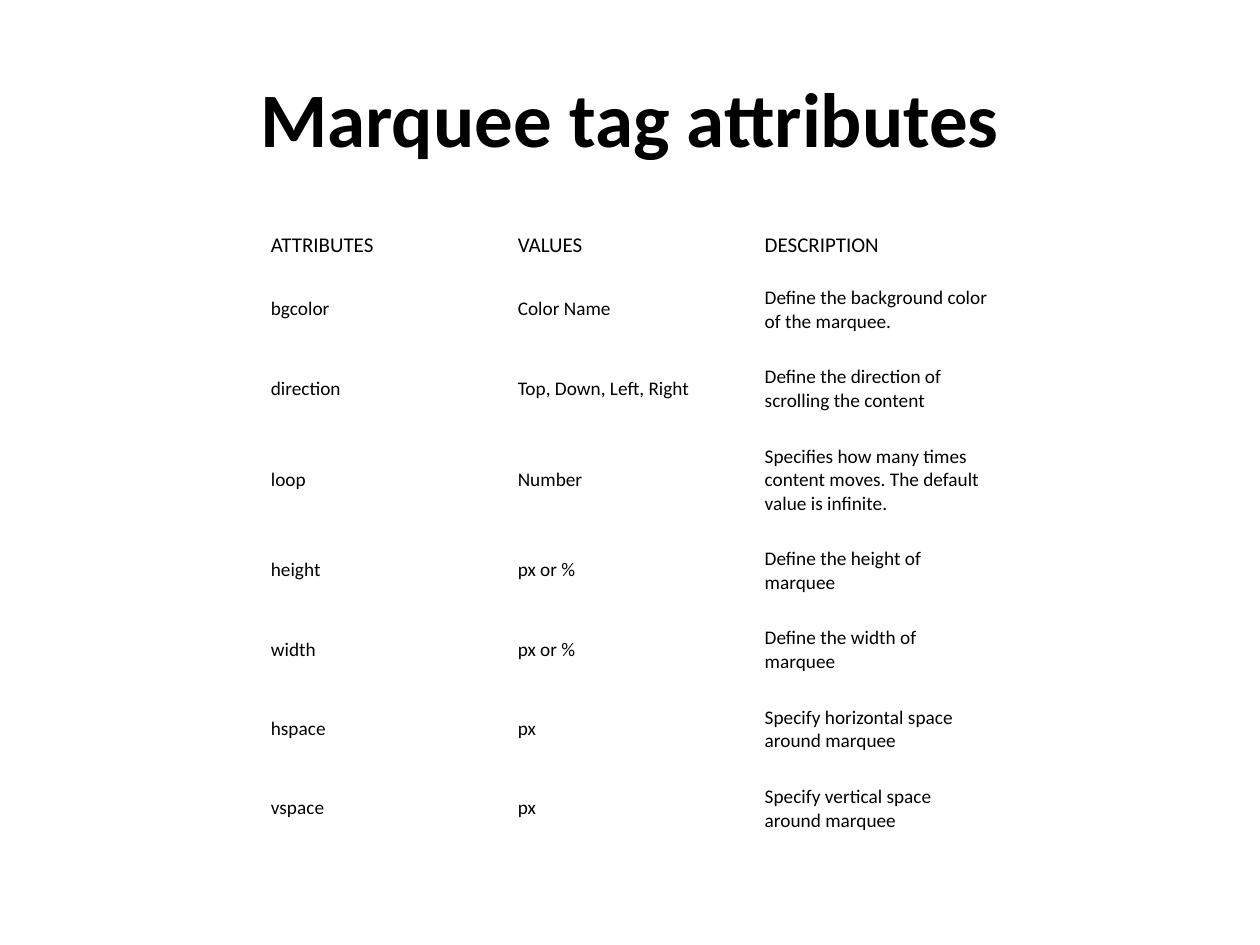
"""Builds a slide with a title and a table of marquee tag attributes."""
from pptx import Presentation
from pptx.dml.color import RGBColor
from pptx.enum.text import MSO_ANCHOR, PP_ALIGN
from pptx.util import Inches, Pt

COLORS = {"text": "000000", "paper": "FFFFFF"}
WIDTH, HEIGHT = Inches(10), Inches(7.5)
TITLE_FONT = {"name": "Calibri", "size": Pt(44), "bold": True}
HEAD_FONT = {"name": "Calibri", "size": Pt(12), "bold": False}
BODY_FONT = {"name": "Calibri", "size": Pt(11), "bold": False}
COL_WIDTH, HEAD_HEIGHT, LINE_HEIGHT, PAD = 1.96, 0.39, 0.18, 0.27
ROWS = [
    ("ATTRIBUTES", "VALUES", "DESCRIPTION", 1),
    ("bgcolor", "Color Name", "Define the background color of the marquee.", 2),
    ("direction", "Top, Down, Left, Right",
     "Define the direction of scrolling the content", 2),
    ("loop", "Number",
     "Specifies how many times content moves. The default value is infinite.", 3),
    ("height", "px or %", "Define the height of marquee", 2),
    ("width", "px or %", "Define the width of marquee", 2),
    ("hspace", "px", "Specify horizontal space around marquee", 2),
    ("vspace", "px", "Specify vertical space around marquee", 2),
]


def apply(obj, values):
    """Set each named attribute on an object."""
    for name, value in values.items():
        setattr(obj, name, value)


def write(tf, text, font, align):
    """Write one formatted paragraph into a text frame."""
    p = tf.paragraphs[0]
    p.alignment = align
    r = p.add_run()
    r.text = text
    apply(r.font, font)
    r.font.color.rgb = RGBColor.from_string(COLORS["text"])


def add_title(s, text):
    """Add the centred slide title."""
    sp = s.shapes.add_textbox(int(WIDTH * 0.05), int(HEIGHT * 0.04),
                              int(WIDTH * 0.9), Inches(1.25))
    tf = sp.text_frame
    apply(tf, {"word_wrap": True, "vertical_anchor": MSO_ANCHOR.MIDDLE})
    write(tf, text, TITLE_FONT, PP_ALIGN.CENTER)


def fill_cell(cell, text, font, margin):
    """Format a table cell and write its text."""
    apply(cell, {
        "margin_left": Inches(0.09), "margin_right": Inches(0.09),
        "margin_top": Inches(margin), "margin_bottom": Inches(margin),
        "vertical_anchor": MSO_ANCHOR.MIDDLE,
    })
    cell.fill.solid()
    cell.fill.fore_color.rgb = RGBColor.from_string(COLORS["paper"])
    write(cell.text_frame, text, font, PP_ALIGN.LEFT)


def add_attribute_table(s, rows):
    """Add the table, centred across the slide, with heights by line count."""
    heights = [HEAD_HEIGHT] + [PAD + LINE_HEIGHT * row[-1] for row in rows[1:]]
    width = Inches(3 * COL_WIDTH)
    table = s.shapes.add_table(len(rows), 3, (WIDTH - width) // 2, Inches(1.75),
                               width, Inches(sum(heights))).table
    apply(table, {"first_row": False, "horz_banding": False})
    for col in table.columns:
        col.width = Inches(COL_WIDTH)
    for i, (*texts, _) in enumerate(rows):
        table.rows[i].height = Inches(heights[i])
        font, margin = (BODY_FONT, 0.13) if i else (HEAD_FONT, 0.09)
        for j, text in enumerate(texts):
            fill_cell(table.cell(i, j), text, font, margin)


def main():
    """Build and save the slide."""
    prs = Presentation()
    apply(prs, {"slide_width": WIDTH, "slide_height": HEIGHT})
    s = prs.slides.add_slide(prs.slide_layouts[6])
    add_title(s, "Marquee tag attributes")
    add_attribute_table(s, ROWS)
    prs.save("out.pptx")


main()
